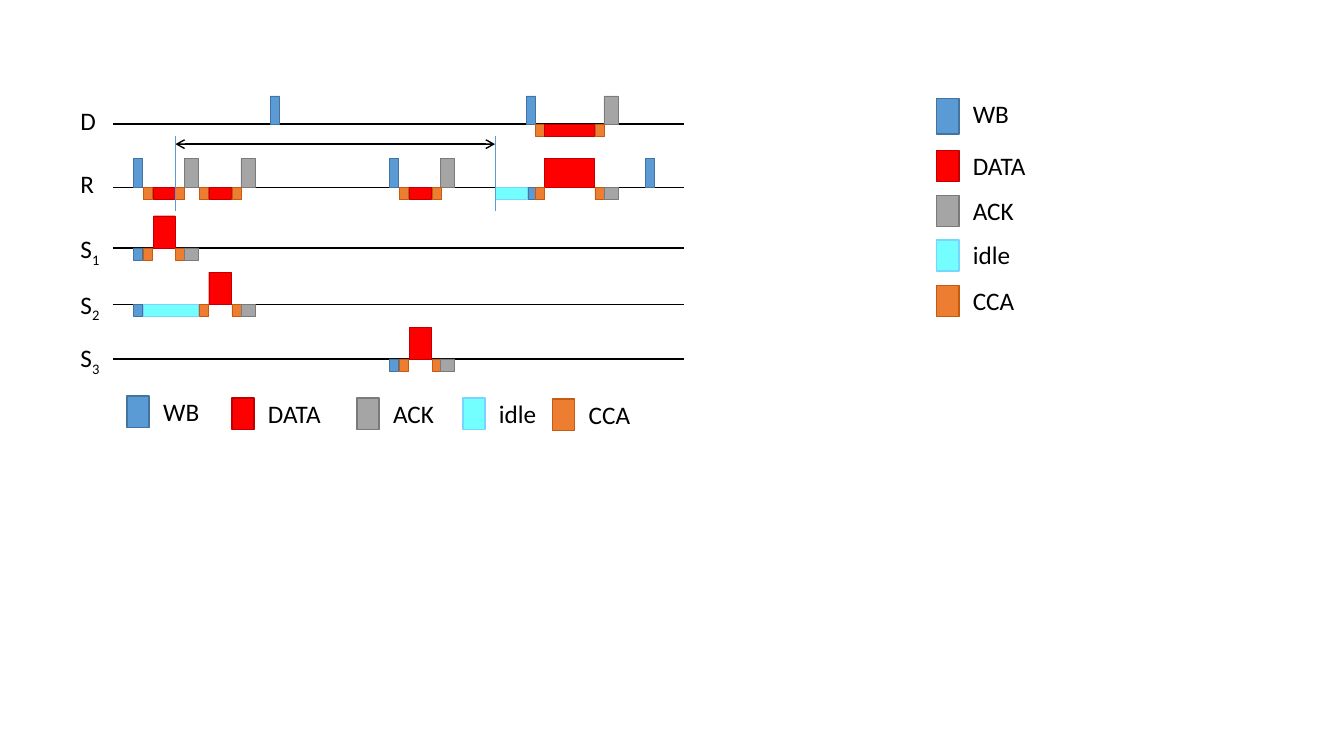
from pptx import Presentation
from pptx import util as u
from pptx.dml.color import RGBColor
from pptx.enum import shapes, text
from pptx.oxml.ns import qn
from lxml import etree

BLACK = RGBColor(0, 0, 0)
BLUE, NAVY = RGBColor(0x5B, 0x9B, 0xD5), RGBColor(0x43, 0x73, 0x9E)
RED, WINE = RGBColor(0xFF, 0, 0), RGBColor(0xC0, 0, 0)
GREY, SLATE = RGBColor(0xA5, 0xA5, 0xA5), RGBColor(0x7A, 0x7A, 0x7A)
CYAN, SKY = RGBColor(0x73, 0xFE, 0xFF), RGBColor(0x76, 0xD6, 0xFF)
ORANGE, RUST = RGBColor(0xED, 0x7D, 0x31), RGBColor(0xC5, 0x5A, 0x11)

CELL = u.Inches(0.01)
COLS, ROWS = 1333, 750

KINDS = {
    "WB": (BLUE, NAVY, 9, 57),
    "DATA": (RED, WINE, 22, 73),
    "ACK": (GREY, SLATE, 14, 61),
    "idle": (CYAN, SKY, 32, 58),
    "CCA": (ORANGE, RUST, 9, 62),
}

NODES = [
    ("D", "", 36, 29, 6, 28,
     [("WB", 156), ("WB", 410), ("ACK", 487)],
     [("CCA", 419), ("DATA", 428, 49), ("CCA", 478)]),
    ("R", "", 34, 92, 68, 29,
     [("WB", 20), ("ACK", 71), ("ACK", 127), ("WB", 274), ("ACK", 325),
      ("DATA", 428, 49), ("WB", 528)],
     [("CCA", 30), ("DATA", 40), ("CCA", 62), ("CCA", 86), ("DATA", 95),
      ("CCA", 118), ("CCA", 284), ("DATA", 294), ("CCA", 317),
      ("idle", 379), ("WB", 412), ("CCA", 419), ("CCA", 478), ("ACK", 487)]),
    ("S", "1", 40, 152, 133, 32,
     [("DATA", 40)],
     [("WB", 20), ("CCA", 30), ("CCA", 62), ("ACK", 71)]),
    ("S", "2", 40, 208, 188, 32,
     [("DATA", 95)],
     [("WB", 20), ("idle", 30, 55), ("CCA", 86), ("CCA", 118), ("ACK", 127)]),
    ("S", "3", 40, 262, 241, 31,
     [("DATA", 294)],
     [("WB", 274), ("CCA", 284), ("CCA", 317), ("ACK", 325)]),
]

LIST = [(0, 0, 35), (0, 51, 31), (0, 96, 31), (0, 140, 31), (0, 185, 31)]
STRIP = [(0, 0, 31), (104, 2, 31), (228, 2, 31), (333, 2, 31), (422, 3, 31)]


def apply(item, form):
    for key, val in form.items():
        setattr(item, key, val)


def block(page, kind, x, y, w, h, line):
    fill, edge = KINDS[kind][:2]
    rect = page.shapes.add_shape(
        shapes.MSO_SHAPE.RECTANGLE, *(CELL * n for n in (x, y, w, h)))
    rect.shadow.inherit = False
    rect.fill.solid()
    rect.fill.fore_color.rgb = fill
    rect.line.color.rgb = edge
    rect.line.width = u.Pt(line)


def label(page, word, x, y, w, sub=""):
    box = page.shapes.add_textbox(*(CELL * n for n in (x, y, w, 40)))
    apply(box.text_frame, {"word_wrap": False,
                           "auto_size": text.MSO_AUTO_SIZE.SHAPE_TO_FIT_TEXT})
    para = box.text_frame.paragraphs[0]
    for part in filter(None, (word, sub)):
        run = para.add_run()
        run.text = part
        apply(run.font, {"size": u.Pt(18), "name": "Calibri"})
        run.font.color.rgb = BLACK
    if sub:
        run.font._element.set("baseline", "-25000")


def rule(page, x, y, across, down, color, line, ends=()):
    link = page.shapes.add_connector(
        shapes.MSO_CONNECTOR.STRAIGHT,
        *(CELL * n for n in (x, y, x + across, y + down)))
    link.line.color.rgb = color
    link.line.width = u.Pt(line)
    pen = link.line._get_or_add_ln()
    for end in ends:
        etree.SubElement(pen, qn("a:" + end), type="arrow")
    etree.SubElement(link._element.spPr, qn("a:effectLst"))


def legend(page, left, top, spots):
    for kind, (x, y, h) in zip(KINDS, spots):
        block(page, kind, left + x, top + y, 22, h, 1)
        label(page, kind, left + x + 26, top + y - 5, KINDS[kind][3])


def timing(page, left, top):
    start = left + 42
    for name, sub, wide, axis, head, rise, above, below in NODES:
        base = top + axis
        label(page, name, left, top + head, wide, sub)
        rule(page, start, base, 566, 0, BLACK, 1)
        for marks, y, h in ((above, base - rise, rise), (below, base, 12)):
            for kind, x, *span in marks:
                w = span[0] if span else KINDS[kind][2]
                block(page, kind, start + x, y, w, h, 0.25)
    rule(page, start + 62, top + 49, 317, 0, BLACK, 1, ("headEnd", "tailEnd"))
    for x in (62, 379):
        rule(page, start + x, top + 41, 0, 74, BLUE, 0.5)


def main():
    deck = Presentation()
    apply(deck, {"slide_width": CELL * COLS, "slide_height": CELL * ROWS})
    page = deck.slides.add_slide(deck.slide_layouts[6])
    legend(page, 929, 98, LIST)
    timing(page, 70, 94)
    legend(page, 126, 393, STRIP)
    deck.save("out.pptx")


if __name__ == "__main__":
    main()
